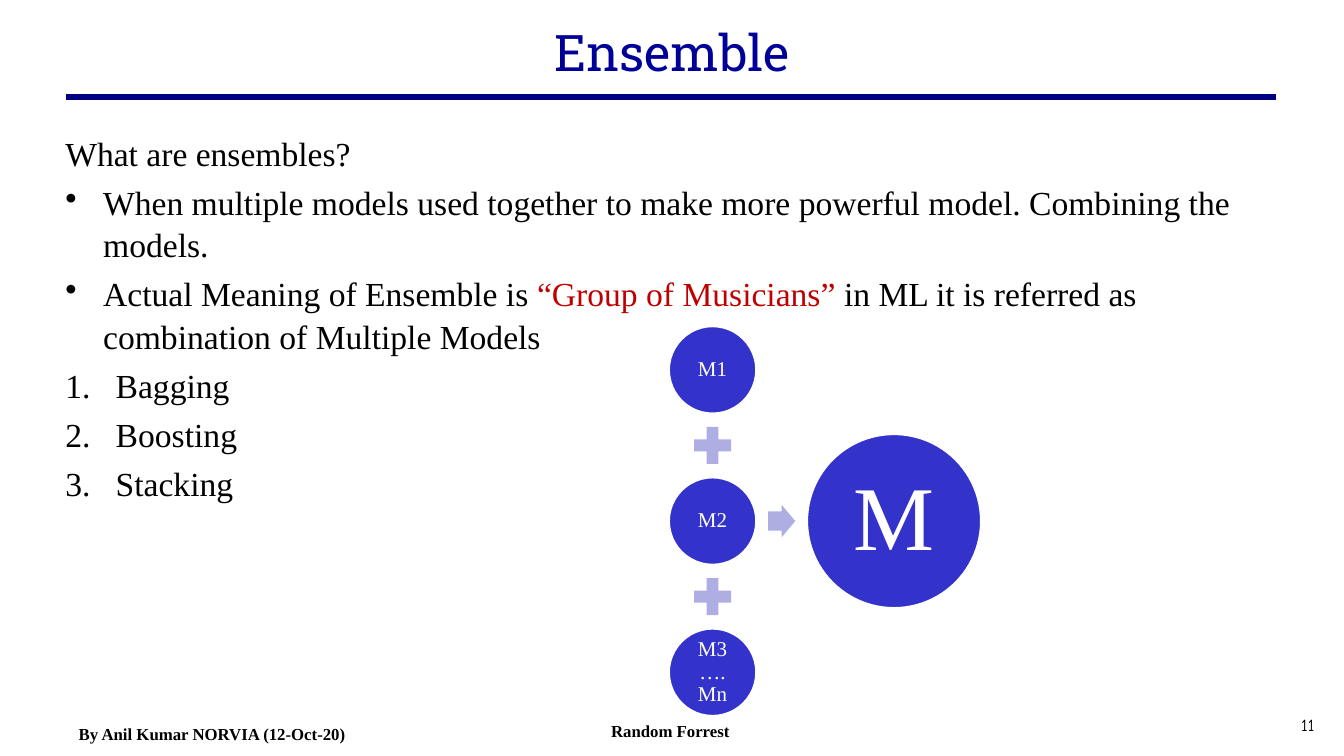
from lxml.etree import SubElement
from pptx import Presentation
from pptx.dml.color import RGBColor
from pptx.enum.shapes import MSO_CONNECTOR, MSO_SHAPE
from pptx.enum.text import MSO_ANCHOR, PP_ALIGN
from pptx.oxml.ns import qn
from pptx.util import Pt

THEME = {
    "serif": "Times New Roman", "slab": "Roboto Slab", "comic": "Comic Neue",
    "title": "000099", "rule": "000080", "ink": "000000", "accent": "C00000",
    "model": "3333CC", "operator": "AEAEE2", "white": "FFFFFF",
    "title_size": 36, "body_size": 24, "footer_size": 12,
    "model_size": 15, "result_size": 65,
}

TITLE = "Ensemble"
BODY = [
    ("plain", [("What are ensembles?", "ink")]),
    ("bullet", [("When multiple models used together to make more powerful model. "
                 "Combining the models.", "ink")]),
    ("bullet", [("Actual Meaning of Ensemble is ", "ink"),
                ("“Group of Musicians” ", "accent"),
                ("in ML it is referred as combination of Multiple Models", "ink")]),
    ("number", [("Bagging", "ink")]),
    ("number", [("Boosting", "ink")]),
    ("number", [("Stacking", "ink")]),
]
FOOTERS = [
    ("By Anil Kumar NORVIA (12-Oct-20)", (39.6, 506.2, 223.9, 36), "serif", True),
    ("Random Forrest", (306.7, 504, 344.2, 36), "serif", True),
    ("11", (911.5, 504, 45.4, 28), "comic", False),
]
MODELS = ["M1", "M2", "M3 …. Mn"]
RESULT = "M"

INDENTS = {"plain": 0, "bullet": 27, "number": 36}
MARKERS = {
    "plain": ("a:buNone", {}),
    "bullet": ("a:buChar", {"char": "•"}),
    "number": ("a:buAutoNum", {"type": "arabicPeriod"}),
}
COLUMN_X, RESULT_X, ARROW_X = 509, 638.6, 558.4
FIRST_Y, STEP_Y = 264.2, 54
MODEL_D, PLUS_D, RESULT_D = 61.9, 36, 123.8
ARROW_W, ARROW_H = 19.4, 23


def color(name):
    return RGBColor.from_string(THEME[name])


def add_run(paragraph, text, size, ink, font="serif", bold=False):
    run = paragraph.add_run()
    run.text = text
    run.font.name = THEME[font]
    run.font.size = Pt(THEME[size])
    run.font.bold = bold
    run.font.color.rgb = color(ink)


def set_frame(frame, anchor, inset_x, inset_y):
    frame.word_wrap = True
    frame.vertical_anchor = anchor
    frame.margin_left = frame.margin_right = Pt(inset_x)
    frame.margin_top = frame.margin_bottom = Pt(inset_y)
    return frame


def add_text_area(slide, box, anchor=MSO_ANCHOR.MIDDLE, inset_x=7.2):
    area = slide.shapes.add_textbox(*map(Pt, box))
    return set_frame(area.text_frame, anchor, inset_x, 3.6)


def add_centered(slide, preset, x, y, width, height, fill):
    shape = slide.shapes.add_shape(
        preset, Pt(x - width / 2), Pt(y - height / 2), Pt(width), Pt(height))
    shape.shadow.inherit = False
    shape.fill.solid()
    shape.fill.fore_color.rgb = color(fill)
    shape.line.fill.background()
    return shape


def add_model(slide, text, x, y, diameter, size, inset):
    circle = add_centered(slide, MSO_SHAPE.OVAL, x, y, diameter, diameter, "model")
    circle.line.color.rgb = color("white")
    circle.line.width = Pt(1)
    frame = set_frame(circle.text_frame, MSO_ANCHOR.MIDDLE, inset, inset)
    label = frame.paragraphs[0]
    label.alignment = PP_ALIGN.CENTER
    label.line_spacing = 0.9
    add_run(label, text, size, "white")


def add_header(slide):
    heading = add_text_area(slide, (72, 5.8, 816, 61.9)).paragraphs[0]
    heading.alignment = PP_ALIGN.CENTER
    add_run(heading, TITLE, "title_size", "title", "slab")
    rule = slide.shapes.add_connector(
        MSO_CONNECTOR.STRAIGHT, Pt(47.5), Pt(69.3), Pt(911.5), Pt(69.3))
    rule.line.color.rgb = color("rule")
    rule.line.width = Pt(4.5)
    SubElement(rule._element.spPr, qn("a:effectLst"))


def add_body(slide):
    frame = add_text_area(slide, (39.6, 90, 880.6, 399.6), MSO_ANCHOR.TOP)
    for index, (kind, pieces) in enumerate(BODY):
        item = frame.add_paragraph() if index else frame.paragraphs[0]
        item.space_before = Pt(4.8)
        item.line_spacing = 1.05
        properties = item._p.get_or_add_pPr()
        properties.set("marL", str(Pt(INDENTS[kind])))
        properties.set("indent", str(-Pt(INDENTS[kind])))
        tag, attributes = MARKERS[kind]
        SubElement(properties, qn(tag), attributes)
        for text, ink in pieces:
            add_run(item, text, "body_size", ink)


def add_diagram(slide):
    for index, text in enumerate(MODELS):
        y = FIRST_Y + 2 * index * STEP_Y
        if index:
            add_centered(slide, MSO_SHAPE.MATH_PLUS, COLUMN_X, y - STEP_Y,
                         PLUS_D, PLUS_D, "operator")
        add_model(slide, text, COLUMN_X, y, MODEL_D, "model_size", 1.4)
    middle_y = FIRST_Y + (len(MODELS) - 1) * STEP_Y
    arrow = add_centered(slide, MSO_SHAPE.RIGHT_ARROW, ARROW_X, middle_y,
                         ARROW_W, ARROW_H, "operator")
    arrow.adjustments[0] = 0.6
    arrow.adjustments[1] = 0.5
    add_model(slide, RESULT, RESULT_X, middle_y, RESULT_D, "result_size", 6.5)


def add_footers(slide):
    for text, box, font, bold in FOOTERS:
        footer = add_text_area(slide, box, inset_x=3.6).paragraphs[0]
        footer.alignment = PP_ALIGN.CENTER
        add_run(footer, text, "footer_size", "ink", font, bold)


def main():
    deck = Presentation()
    deck.slide_width, deck.slide_height = Pt(960), Pt(540)
    slide = deck.slides.add_slide(deck.slide_layouts[6])
    add_header(slide)
    add_body(slide)
    add_diagram(slide)
    add_footers(slide)
    deck.save("out.pptx")


if __name__ == "__main__":
    main()
